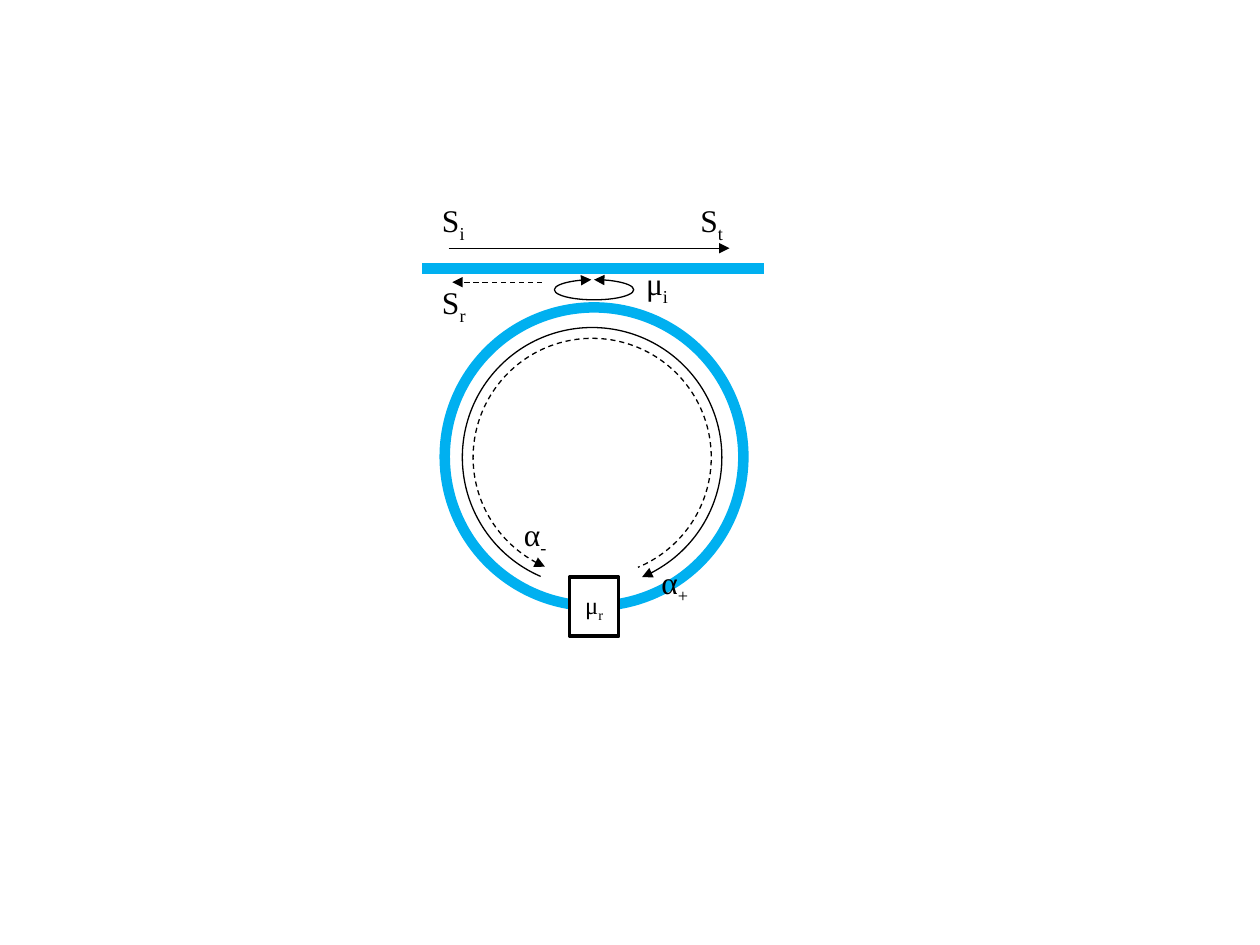
from lxml import etree
from pptx import Presentation
from pptx import util as u
from pptx.dml.color import RGBColor
from pptx.enum import dml, shapes, text
from pptx.oxml.ns import qn

THEME = {
    "font": "Times New Roman",
    "ink": RGBColor(0, 0, 0),
    "paper": RGBColor(255, 255, 255),
    "guide": RGBColor(0x00, 0xB0, 0xF0),
    "label_size": 18,
    "box_size": 14,
    "guide_width": 6,
    "box_width": 2,
    "ray_width": 0.75,
}

# Content: lengths in inches, angles in degrees clockwise from the right
WAVEGUIDE = ((6.06, 2.13), (3.35, 2.13))
RING = (4.715, 3.625, 2.37, 2.37)  # centre x, centre y, width, height
SCATTERER = ("μ", "r", (4.52, 4.58, 0.39, 0.47))
RAYS = [  # from, to, dashed
    ((3.56, 1.97), (5.79, 1.97), False),
    ((4.30, 2.24), (3.59, 2.24), True),
]
ARCS = [  # centre and size, start, end, arrowed ends, dashed
    ((4.70, 3.63, 2.06, 2.06), 113.36, 67.37, ["tailEnd"], False),
    ((4.70, 3.63, 1.89, 1.89), 113.36, 67.37, ["headEnd"], True),
    ((4.715, 2.30, 0.63, 0.16), 270, 254.91, ["headEnd", "tailEnd"], False),
]
LABELS = [  # symbol, subscript, left, top
    ("α", "+", 5.15, 4.42),
    ("α", "-", 4.06, 4.04),
    ("S", "i", 3.41, 1.55),
    ("S", "t", 5.46, 1.55),
    ("μ", "i", 5.03, 2.05),
    ("S", "r", 3.41, 2.20),
]
LABEL_SIZE = (0.54, 0.40)


def inches(values):
    return [u.Inches(value) for value in values]


def centred(x, y, width, height):
    return inches((x - width / 2, y - height / 2, width, height))


def style_line(part, color, width, dashed=False, arrows=()):
    part.line.color.rgb = THEME[color]
    part.line.width = u.Pt(THEME[width])
    if dashed:
        part.line.dash_style = dml.MSO_LINE.DASH
    outline = part.line._get_or_add_ln()
    for end in arrows:
        etree.SubElement(outline, qn(f"a:{end}"), type="triangle")


def add_outline(group, kind, frame):
    part = group.shapes.add_shape(kind, *frame)
    part.shadow.inherit = False
    part.fill.background()
    return part


def add_straight(group, start, end, *style):
    line = group.shapes.add_connector(
        shapes.MSO_CONNECTOR.STRAIGHT, *inches(start + end))
    style_line(line, *style)
    etree.SubElement(line._element.spPr, qn("a:effectLst"))


def write_symbol(frame, symbol, subscript, size):
    paragraph = frame.paragraphs[0]
    paragraph.font.name = THEME["font"]
    paragraph.font.size = u.Pt(THEME[size])
    paragraph.font.color.rgb = THEME["ink"]
    for content in (symbol, subscript):
        run = paragraph.add_run()
        run.text = content
        # Shape styles would otherwise colour the runs white
        run.font.color.rgb = THEME["ink"]
    run._r.get_or_add_rPr().set("baseline", "-25000")
    return paragraph


def main():
    deck = Presentation()
    deck.slide_width, deck.slide_height = inches((10, 7.5))
    slide = deck.slides.add_slide(deck.slide_layouts[6])
    diagram = slide.shapes.add_group_shape()

    # Ring resonator and bus waveguide
    ring = add_outline(diagram, shapes.MSO_SHAPE.OVAL, centred(*RING))
    style_line(ring, "guide", "guide_width")
    add_straight(diagram, *WAVEGUIDE, "guide", "guide_width")

    # Scatterer on the ring
    symbol, subscript, place = SCATTERER
    scatterer = add_outline(diagram, shapes.MSO_SHAPE.RECTANGLE, inches(place))
    scatterer.fill.solid()
    scatterer.fill.fore_color.rgb = THEME["paper"]
    style_line(scatterer, "ink", "box_width")
    scatterer.text_frame.vertical_anchor = text.MSO_ANCHOR.MIDDLE
    caption = write_symbol(scatterer.text_frame, symbol, subscript, "box_size")
    caption.alignment = text.PP_ALIGN.CENTER

    # Circulating modes and coupling loop
    for place, start, end, arrows, dashed in ARCS:
        arc = add_outline(diagram, shapes.MSO_SHAPE.ARC, centred(*place))
        for index, angle in enumerate((start, end)):
            arc.adjustments[index] = angle * 0.6  # 60000 units per degree
        style_line(arc, "ink", "ray_width", dashed, arrows)

    # Transmitted and reflected signals
    for start, end, dashed in RAYS:
        add_straight(diagram, start, end, "ink", "ray_width", dashed, ["tailEnd"])

    # Labels
    for symbol, subscript, left, top in LABELS:
        label = diagram.shapes.add_textbox(*inches((left, top) + LABEL_SIZE))
        label.text_frame.word_wrap = True
        label.text_frame.auto_size = text.MSO_AUTO_SIZE.SHAPE_TO_FIT_TEXT
        write_symbol(label.text_frame, symbol, subscript, "label_size")

    deck.save("out.pptx")


if __name__ == "__main__":
    main()
